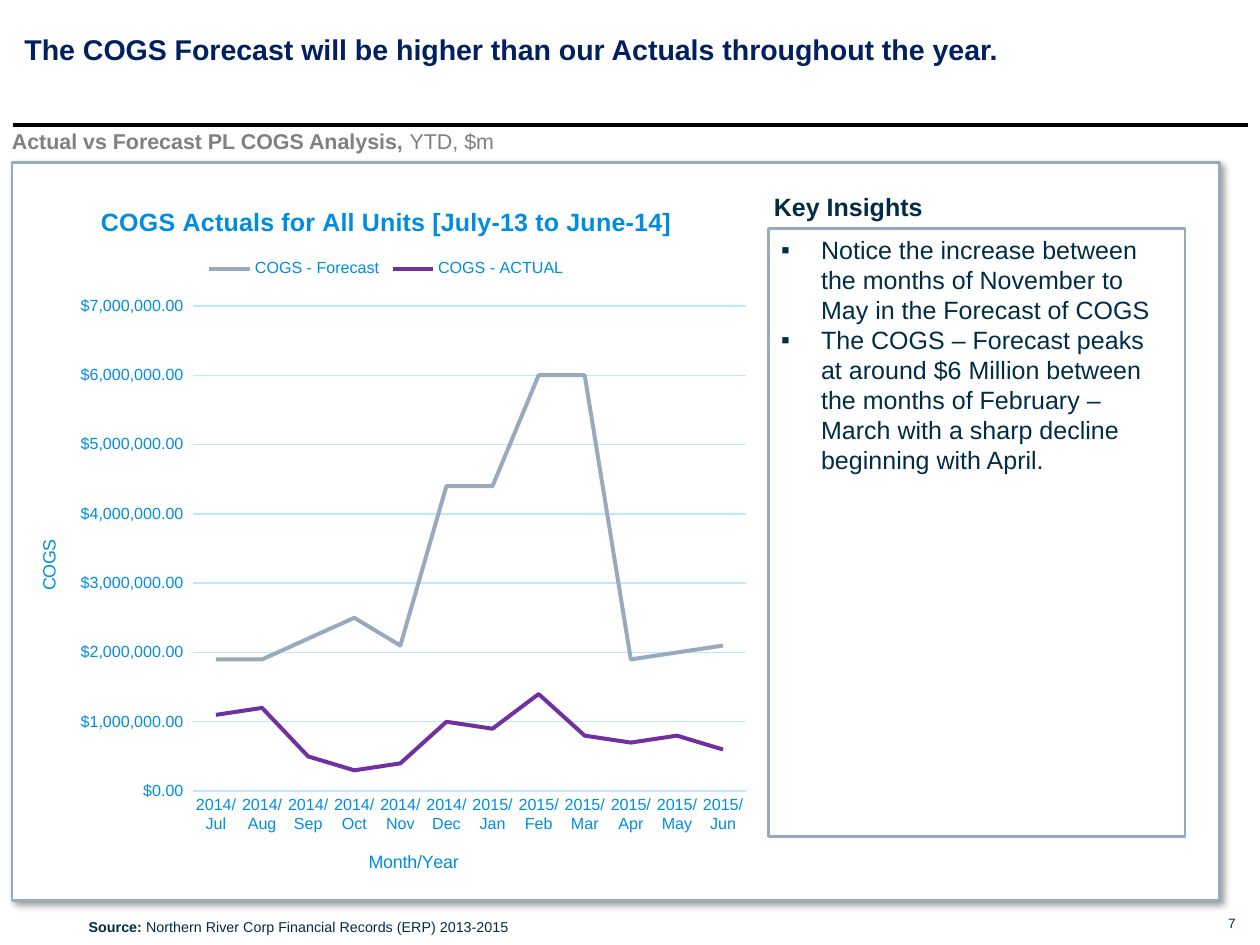
import pptx
import pptx.util
import pptx.dml.color
import pptx.chart.data
import pptx.enum.chart
import pptx.enum.shapes
import pptx.enum.text
import pptx.oxml
import pptx.oxml.ns

NAVY, INK, GREY, STEEL = "002060", "002C46", "808080", "99AABE"
BLUE, PALE, PURPLE = "008DE0", "BDE6FF", "7030A0"
FONT = "Arial"
WIDTH, HEIGHT = 9.8, 7.35

TITLE = "The COGS Forecast will be higher than our Actuals throughout the year."
SUBTITLE = [("Actual vs Forecast PL COGS Analysis, ", True), ("YTD, $m", False)]
SOURCE = [("Source: ", True), ("Northern River Corp Financial Records (ERP) 2013-2015", False)]
INSIGHTS = [
    "Notice the increase between the months of November to May in the Forecast of COGS",
    "The COGS – Forecast peaks at around $6 Million between the months of "
    "February – March with a sharp decline beginning with April.",
]
CHART_TITLE = "COGS Actuals for All Units [July-13 to June-14]"
MONTHS = {"2014": "Jul Aug Sep Oct Nov Dec", "2015": "Jan Feb Mar Apr May Jun"}
SERIES_MILLIONS = [
    ("COGS - Forecast", STEEL,
     [1.9, 1.9, 2.2, 2.5, 2.1, 4.4, 4.4, 6, 6, 1.9, 2, 2.1]),
    ("COGS - ACTUAL", PURPLE,
     [1.1, 1.2, 0.5, 0.3, 0.4, 1, 0.9, 1.4, 0.8, 0.7, 0.8, 0.6]),
]
MONEY = '"$"#,##0.00_);[Red]\\("$"#,##0.00\\)'

# Left, top, width and height in percent of the slide.
AREAS = {
    "number": (96.73, 96.8, 1.33, 1.77),
    "panel": (0.95, 17.2, 95.82, 78.1),
    "subtitle": (0.95, 13.55, 80.71, 2.72),
    "title": (1.94, 3.4, 96.22, 3.67),
    "insights": (61.0, 24.15, 33.06, 64.35),
    "heading": (60.41, 19.59, 17.04, 4.63),
    "source": (6.04, 96.46, 37.04, 3.27),
    "chart": (0.92, 19.05, 59.49, 76.19),
    "rule": (1.02, 13.2, 98, 0),
}


def color(value):
    return pptx.dml.color.RGBColor.from_string(value)


def area(name):
    left, top, width, height = AREAS[name]
    return [pptx.util.Inches(share * side / 100) for share, side in
            ((left, WIDTH), (top, HEIGHT), (width, WIDTH), (height, HEIGHT))]


def element(tag, parent=None, **attributes):
    node = pptx.oxml.parse_xml(f"<{tag} {pptx.oxml.ns.nsdecls(tag.split(':')[0])}/>")
    for key, value in attributes.items():
        node.set(key, str(value))
    if parent is not None:
        parent.append(node)
    return node


def style(font, size, hue, bold=False):
    font.name, font.size, font.bold = FONT, pptx.util.Pt(size), bold
    font.color.rgb = color(hue)


def write(frame, text, size=14, hue=INK, bold=False, align="LEFT", bullet=None):
    """Write a string, a list of (text, bold) runs, or a list of bulleted strings."""
    paragraphs = text if bullet else [text]
    for index, content in enumerate(paragraphs):
        paragraph = frame.add_paragraph() if index else frame.paragraphs[0]
        paragraph.alignment = getattr(pptx.enum.text.PP_ALIGN, align)
        for words, weight in [(content, bold)] if isinstance(content, str) else content:
            run = paragraph.add_run()
            run.text = words
            style(run.font, size, hue, weight)
        if bullet:
            indent = pptx.util.Inches(0.31)
            properties = paragraph._p.get_or_add_pPr()
            properties.set("marL", str(indent))
            properties.set("indent", str(-indent))
            element("a:srgbClr", element("a:buClr", properties), val=hue)
            element("a:buFont", properties, typeface=FONT)
            element("a:buChar", properties, char=bullet)


def add_text(slide, name, text, padded=False, **formats):
    frame = slide.shapes.add_textbox(*area(name)).text_frame
    frame.word_wrap = True
    if not padded:
        frame.margin_left = frame.margin_top = frame.margin_right = frame.margin_bottom = 0
    write(frame, text, **formats)


def add_frame(slide, name, fill=None):
    shape = slide.shapes.add_shape(pptx.enum.shapes.MSO_SHAPE.RECTANGLE, *area(name))
    shape.shadow.inherit = False
    if fill:
        shape.fill.solid()
        shape.fill.fore_color.rgb = color(fill)
    else:
        shape.fill.background()
    shape.line.color.rgb = color(STEEL)
    shape.line.width = pptx.util.Pt(1.5)
    return shape


def add_panel(slide):
    panel = add_frame(slide, "panel", "FFFFFF")
    effects = panel._element.spPr.find(pptx.oxml.ns.qn("a:effectLst"))
    shadow = element("a:outerShdw", effects, blurRad=pptx.util.Pt(4), dist=pptx.util.Pt(3),
                     dir=45 * 60000, algn="tl", rotWithShape=0)
    element("a:alpha", element("a:srgbClr", shadow, val="000000"), val=40000)


def add_rule(slide):
    left, top, width, height = area("rule")
    rule = slide.shapes.add_connector(
        pptx.enum.shapes.MSO_CONNECTOR.STRAIGHT, left, top, left + width, top + height)
    rule.line.color.rgb = color("000000")
    rule.line.width = pptx.util.Pt(2)
    element("a:effectLst", rule._element.spPr)


def place(part, index, **percents):
    for old in part.findall(pptx.oxml.ns.qn("c:layout")):
        part.remove(old)
    layout = element("c:layout")
    manual = element("c:manualLayout", layout)
    if index == 0:
        element("c:layoutTarget", manual, val="inner")
    for key in ("x", "y"):
        element(f"c:{key}Mode", manual, val="edge")
    for key, percent in percents.items():
        element(f"c:{key}", manual, val=percent / 100)
    part.insert(index, layout)


def add_chart(slide):
    data = pptx.chart.data.CategoryChartData(number_format=MONEY)
    data.categories = [f"{year}/{month}" for year, names in MONTHS.items()
                       for month in names.split()]
    for name, _, millions in SERIES_MILLIONS:
        data.add_series(name, [round(value * 1000000) for value in millions])
    chart = slide.shapes.add_chart(
        pptx.enum.chart.XL_CHART_TYPE.LINE, *area("chart"), data).chart
    style(chart.font, 10, INK)
    chart.plots[0].vary_by_categories = False
    for series, (_, hue, _) in zip(chart.plots[0].series, SERIES_MILLIONS):
        series.smooth = False
        series.marker.style = pptx.enum.chart.XL_MARKER_STYLE.NONE
        series.format.line.color.rgb = color(hue)
        series.format.line.width = pptx.util.Pt(2.25)

    write(chart.chart_title.text_frame, CHART_TITLE, hue=BLUE, bold=True, align="CENTER")
    place(chart.chart_title._element, 1, x=11.3, y=2.9)
    chart.has_legend = True
    chart.legend.position = pptx.enum.chart.XL_LEGEND_POSITION.TOP
    chart.legend.include_in_layout = False
    style(chart.legend.font, 9, BLUE)
    place(chart.legend._element, 1, x=25.3, y=10.3, w=49.4, h=4)

    months, money = chart.category_axis, chart.value_axis
    for axis, label, x, y in ((months, "Month/Year", 47.2, 92.7), (money, "COGS", 3, 49.5)):
        axis.major_tick_mark = axis.minor_tick_mark = pptx.enum.chart.XL_TICK_MARK.NONE
        style(axis.tick_labels.font, 9, BLUE)
        write(axis.axis_title.text_frame, label, size=10, hue=BLUE, align="CENTER")
        place(axis.axis_title._element, 1, x=x, y=y)
    for body in money.axis_title._element.iter(pptx.oxml.ns.qn("a:bodyPr")):
        body.set("rot", str(-90 * 60000))
        body.set("vert", "horz")
    money.minimum_scale, money.maximum_scale, money.major_unit = 0, 7000000, 1000000
    money.tick_labels.number_format = MONEY
    money.tick_labels.number_format_is_linked = False
    money.format.line.fill.background()
    for line in (months.format.line, money.major_gridlines.format.line):
        line.color.rgb = color(PALE)
        line.width = pptx.util.Pt(0.75)
    plot_area = chart._chartSpace.find(".//" + pptx.oxml.ns.qn("c:plotArea"))
    place(plot_area, 0, x=24.2, y=17.5, w=73.8, h=67.4)


def main():
    presentation = pptx.Presentation()
    presentation.slide_width = pptx.util.Inches(WIDTH)
    presentation.slide_height = pptx.util.Inches(HEIGHT)
    slide = presentation.slides.add_slide(presentation.slide_layouts[6])
    add_text(slide, "number", "7", size=7.6, align="RIGHT")
    add_rule(slide)
    add_panel(slide)
    add_text(slide, "subtitle", SUBTITLE, size=12, hue=GREY)
    add_text(slide, "title", TITLE, size=16, hue=NAVY, bold=True)
    insights = add_frame(slide, "insights").text_frame
    insights.word_wrap = True
    insights.margin_right = pptx.util.Inches(0.2)
    insights.vertical_anchor = pptx.enum.text.MSO_ANCHOR.TOP
    write(insights, INSIGHTS, bullet="▪")
    add_text(slide, "heading", "Key Insights", padded=True, bold=True)
    add_text(slide, "source", SOURCE, padded=True, size=8)
    add_chart(slide)
    presentation.save("out.pptx")


if __name__ == "__main__":
    main()
